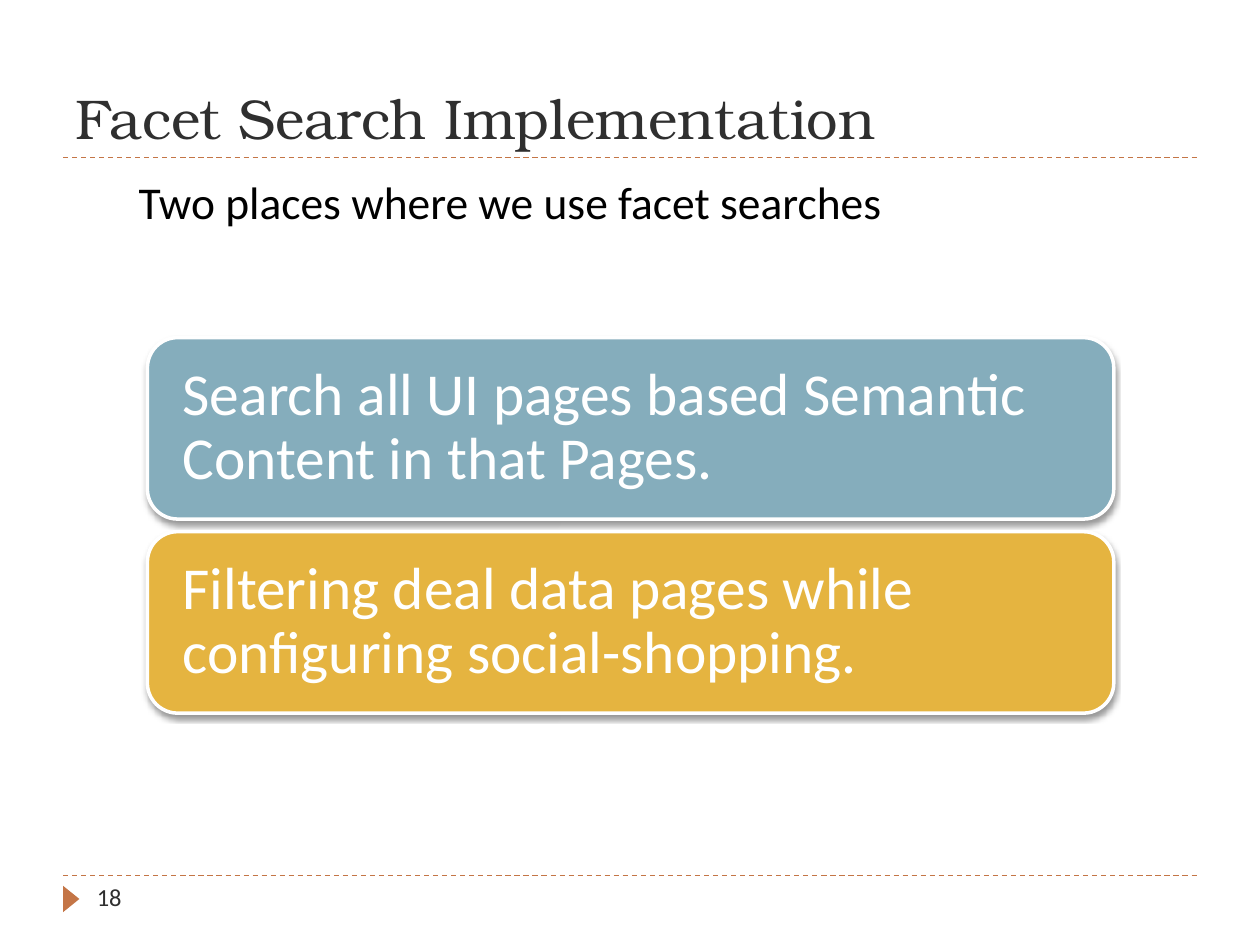
from lxml import etree
from pptx import Presentation
from pptx.dml.color import RGBColor
from pptx.enum.dml import MSO_LINE
from pptx.enum.shapes import MSO_CONNECTOR, MSO_SHAPE
from pptx.enum.text import MSO_ANCHOR, MSO_AUTO_SIZE, PP_ALIGN
from pptx.oxml.ns import qn
from pptx.util import Inches, Pt

DASH, STRAIGHT = MSO_LINE.DASH, MSO_CONNECTOR.STRAIGHT
ROUNDED, TRIANGLE = MSO_SHAPE.ROUNDED_RECTANGLE, MSO_SHAPE.ISOSCELES_TRIANGLE
TOP, MIDDLE, BOTTOM = MSO_ANCHOR.TOP, MSO_ANCHOR.MIDDLE, MSO_ANCHOR.BOTTOM
NO_FIT, LEFT = MSO_AUTO_SIZE.NONE, PP_ALIGN.LEFT

WIDTH, HEIGHT = Inches(10), Inches(7.5)
MARGIN = Inches(0.5)
RUST = RGBColor(0xC4, 0x75, 0x46)
INK = RGBColor(0x2F, 0x2F, 0x2F)
BLACK = RGBColor(0, 0, 0)
WHITE = RGBColor(0xFF, 0xFF, 0xFF)
BLUE = RGBColor(0x85, 0xAD, 0xBC)
GOLD = RGBColor(0xE5, 0xB4, 0x40)
HEADING_FONT, TEXT_FONT = "TeX Gyre Bonum", "Calibri"

CARDS = [
    ("Search all UI pages based Semantic Content in that Pages.", BLUE),
    ("Filtering deal data pages while configuring social-shopping.", GOLD),
]


def apply(target, values):
    """Set every attribute of the target from a dict of values."""
    for name, value in values.items():
        setattr(target, name, value)


def place(shape, box):
    """Give a shape the left, top, width and height of a box."""
    apply(shape, dict(zip(("left", "top", "width", "height"), box)))


def write(shape, text, size, color, font=TEXT_FONT, frame_format=None, para_format=None):
    """Write one formatted paragraph into a shape."""
    frame = shape.text_frame
    apply(frame, {"word_wrap": True, "auto_size": NO_FIT, **(frame_format or {})})
    para = frame.paragraphs[0]
    apply(para, {"alignment": LEFT, **(para_format or {})})
    span = para.add_run()
    span.text = text
    apply(span.font, {"size": Pt(size), "name": font})
    span.font.color.rgb = color


def add_rule(page, top):
    """Draw a dashed rule between the side margins."""
    rule = page.shapes.add_connector(STRAIGHT, MARGIN, top, WIDTH - MARGIN, top)
    apply(rule.line, {"width": Pt(0.75), "dash_style": DASH})
    rule.line.color.rgb = RUST
    etree.SubElement(rule._element.spPr, qn("a:effectLst"))


def add_heading(page, box):
    """Fill the title placeholder and underline it with a rule."""
    title = page.shapes.title
    place(title, box)
    write(title, "Facet Search Implementation", 32, INK, HEADING_FONT,
          {"vertical_anchor": BOTTOM})
    add_rule(page, box[1] + box[3])


def add_lead(page, box):
    """Fill the body placeholder with an unbulleted lead sentence."""
    body = page.placeholders[1]
    place(body, box)
    write(body, "Two places where we use facet searches", 26, BLACK,
          frame_format={"vertical_anchor": TOP}, para_format={"space_before": Pt(6)})
    properties = body.text_frame.paragraphs[0]._p.get_or_add_pPr()
    properties.set("marL", "0")
    properties.set("indent", "0")
    etree.SubElement(properties, qn("a:buNone"))


def add_shadow(shape):
    """Give a shape a soft shadow below it."""
    effects = etree.SubElement(shape._element.spPr, qn("a:effectLst"))
    shadow = etree.SubElement(effects, qn("a:outerShdw"), blurRad=str(Pt(3)),
                              dist=str(Pt(2)), dir="5400000", rotWithShape="0")
    color = etree.SubElement(shadow, qn("a:srgbClr"), val="000000")
    etree.SubElement(color, qn("a:alpha"), val="40000")


def add_cards(page, box):
    """Stack the cards in a box with equal gaps."""
    left, top, width, height = box
    gap = Inches(0.1)
    card_height = (height - gap * (len(CARDS) - 1)) // len(CARDS)
    inset = Inches(0.21)
    margins = {f"margin_{side}": inset for side in ("left", "top", "right", "bottom")}
    for row, (text, color) in enumerate(CARDS):
        card = page.shapes.add_shape(ROUNDED, left, top + row * (card_height + gap),
                                     width, card_height)
        card.fill.solid()
        card.fill.fore_color.rgb = color
        card.line.color.rgb = WHITE
        card.line.width = Pt(2)
        add_shadow(card)
        write(card, text, 34, WHITE, frame_format={"vertical_anchor": MIDDLE, **margins},
              para_format={"line_spacing": 0.9})


def add_footer(page, box):
    """Draw the footer rule, its marker and the page number."""
    left, top, width, height = box
    add_rule(page, top)
    marker = page.shapes.add_shape(TRIANGLE, left - Inches(0.21), top + Inches(0.12),
                                   Inches(0.21), Inches(0.13))
    apply(marker, {"rotation": 90})
    marker.shadow.inherit = False
    marker.fill.solid()
    marker.fill.fore_color.rgb = RUST
    marker.line.fill.background()
    number = page.shapes.add_textbox(left, top, width, height)
    write(number, "18", 14, INK)


def main():
    """Build the slide and save the deck."""
    deck = Presentation()
    apply(deck, {"slide_width": WIDTH, "slide_height": HEIGHT})
    page = deck.slides.add_slide(deck.slide_layouts[1])
    add_heading(page, (MARGIN, Inches(0.17), WIDTH - 2 * MARGIN, Inches(1.08)))
    add_lead(page, (Inches(1), Inches(1.33), Inches(7.42), Inches(0.75)))
    add_cards(page, (Inches(1.17), Inches(2.68), Inches(7.67), Inches(2.98)))
    add_footer(page, (Inches(0.67), Inches(6.95), Inches(2.17), Inches(0.4)))
    deck.save("out.pptx")


if __name__ == "__main__":
    main()
